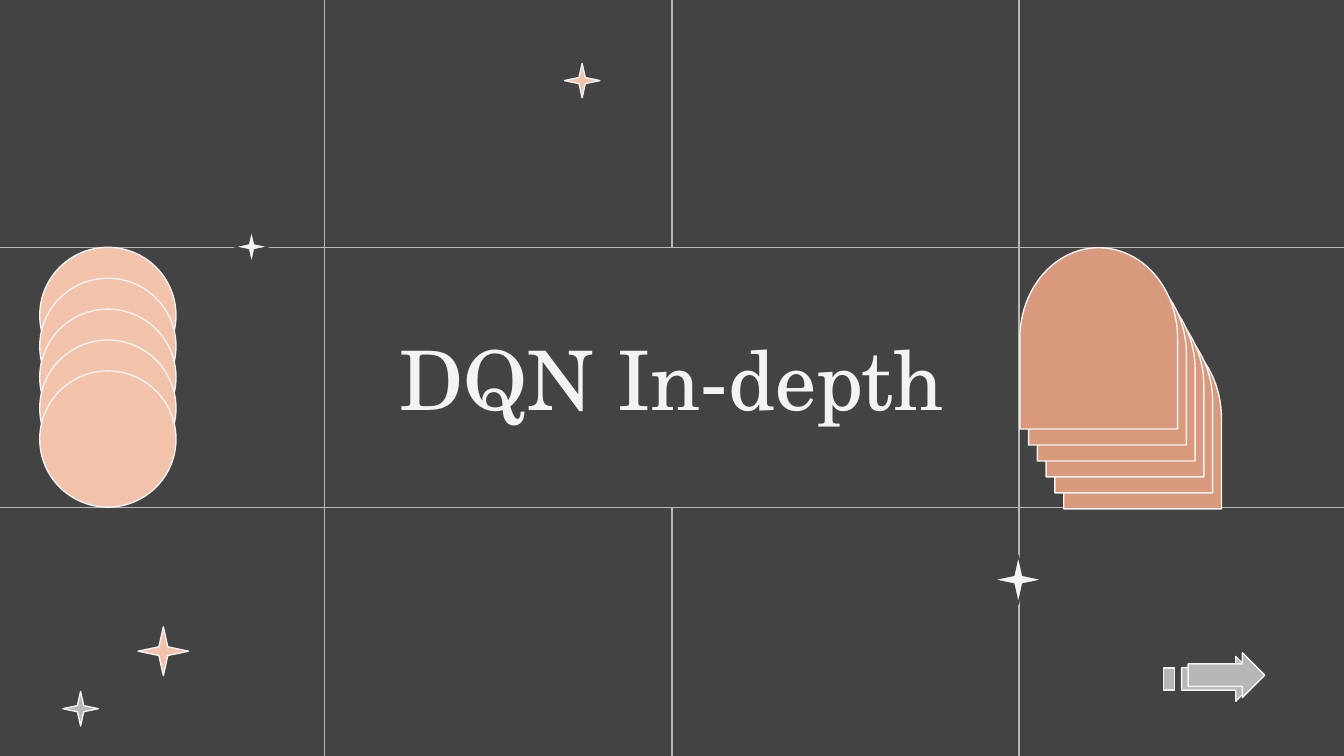
"""Build the section slide for DQN In-depth."""
from dataclasses import dataclass

from lxml import etree
from pptx import Presentation
from pptx import util as u
from pptx.dml.color import RGBColor
from pptx.enum import shapes, text
from pptx.oxml.ns import qn

KIND = shapes.MSO_SHAPE


@dataclass(frozen=True)
class Theme:
    dark: str = "434343"
    gray: str = "B7B7B7"
    light: str = "F3F3F3"
    peach: str = "F2C2AB"
    clay: str = "D9997D"
    font: str = "TeX Gyre Schola"
    size: float = 44
    rule: float = 0.75


class Deck:
    def __init__(self, theme, width, height):
        self.theme = theme
        self.deck = Presentation()
        self.deck.slide_width = u.Pt(width)
        self.deck.slide_height = u.Pt(height)
        self.slide = self.deck.slides.add_slide(self.deck.slide_layouts[5])
        self.paint(self.slide.background.fill, theme.dark)

    def paint(self, fill, color):
        fill.solid()
        fill.fore_color.rgb = RGBColor.from_string(color)

    def edge(self, line, color):
        self.paint(line.fill, color)
        line.width = u.Pt(self.theme.rule)

    def line(self, *ends):
        item = self.slide.shapes.add_connector(
            shapes.MSO_CONNECTOR.STRAIGHT, *map(u.Pt, ends))
        self.edge(item.line, self.theme.gray)
        etree.SubElement(item._element.spPr, qn("a:effectLst"))

    def shape(self, kind, box, fill, edge=None, turn=0):
        item = self.slide.shapes.add_shape(kind, *map(u.Pt, box))
        item.shadow.inherit = False
        item.rotation = turn
        self.paint(item.fill, fill)
        self.edge(item.line, edge or self.theme.light)
        return item

    def star(self, left, top, size, fill, edge=None):
        box = (left, top, size, size * 0.97)
        self.shape(KIND.STAR_4_POINT, box, fill, edge).adjustments[0] = 0.125

    def title(self, words, box):
        item = self.slide.shapes.title
        item.left, item.top, item.width, item.height = map(u.Pt, box)
        self.paint(item.fill, self.theme.dark)
        self.edge(item.line, self.theme.gray)
        self.slide.shapes._spTree.append(item._element)
        frame = item.text_frame
        frame.word_wrap = True
        frame.auto_size = text.MSO_AUTO_SIZE.NONE
        frame.vertical_anchor = text.MSO_ANCHOR.MIDDLE
        frame.margin_left = frame.margin_right = u.Pt(7.2)
        frame.margin_top = frame.margin_bottom = u.Pt(7.2)
        para = frame.paragraphs[0]
        para.alignment = text.PP_ALIGN.CENTER
        para.line_spacing = 1.0
        run = para.add_run()
        run.text = words
        run.font.name = self.theme.font
        run.font.size = u.Pt(self.theme.size)
        run.font.color.rgb = RGBColor.from_string(self.theme.light)

    def save(self):
        self.deck.save("out.pptx")


def main():
    theme = Theme()
    width, height = 720, 405
    cols, rows = (174, 360, 546), (132.5, 272)
    deck = Deck(theme, width, height)

    for x in cols:
        deck.line(x, 0, x, height)
    for y in rows:
        deck.line(0, y, width, y)

    deck.star(74, 335.8, 27, theme.peach)
    deck.star(33.7, 370.5, 19, theme.gray)
    deck.shape(KIND.UP_ARROW, (641.5, 343.2, 24, 41), theme.gray, turn=90)
    deck.shape(KIND.RECTANGLE, (623.3, 357.8, 6, 12), theme.gray)
    deck.shape(KIND.UP_ARROW, (645, 341.2, 24, 41), theme.gray, turn=90)

    deck.title("DQN In-depth",
               (cols[0], rows[0], cols[2] - cols[0], rows[1] - rows[0]))
    deck.star(125.3, 123, 19, theme.light, theme.dark)
    deck.star(532, 297.5, 27, theme.light, theme.dark)

    for i in reversed(range(6)):
        box = (540 + 4.7 * i, 139 + 8.55 * i, 97.2, 84.5)
        deck.shape(KIND.FLOWCHART_DELAY, box, theme.clay, turn=270)
    for i in range(5):
        box = (21.3, rows[0] + 16.55 * i, 73, 73)
        deck.shape(KIND.OVAL, box, theme.peach)
    deck.star(302.4, 34, 19, theme.peach)
    deck.save()


if __name__ == "__main__":
    main()
